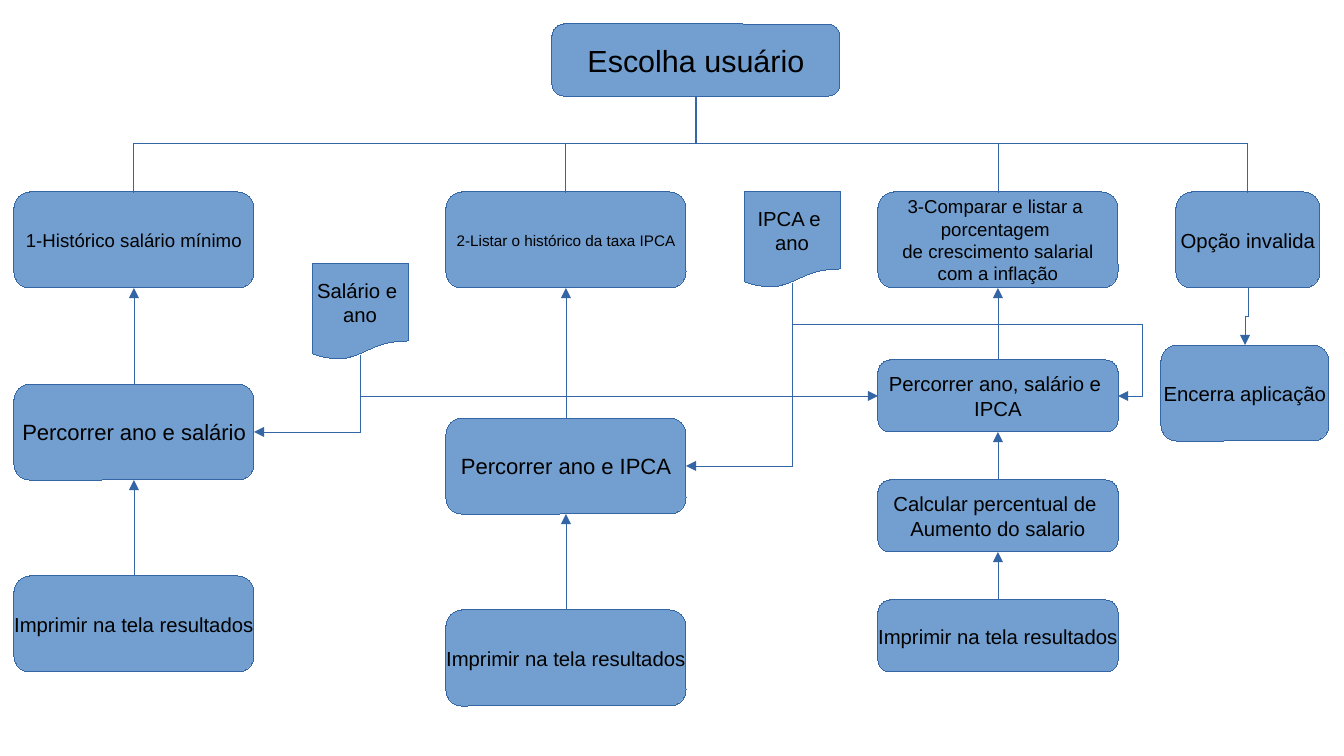
import itertools

import pptx
import pptx.dml.color
import pptx.enum.shapes
import pptx.enum.text
import pptx.oxml.ns
import pptx.util
from lxml import etree

PX = 7495  # EMU per pixel, 122 px to the inch
HAIRLINE = 1  # EMU
BLUE = pptx.dml.color.RGBColor(0x72, 0x9F, 0xCF)
DARK_BLUE = pptx.dml.color.RGBColor(0x34, 0x65, 0xA4)
BLACK = pptx.dml.color.RGBColor(0, 0, 0)
ROUNDED = pptx.enum.shapes.MSO_SHAPE.ROUNDED_RECTANGLE
DOCUMENT = pptx.enum.shapes.MSO_SHAPE.FLOWCHART_DOCUMENT
STRAIGHT = pptx.enum.shapes.MSO_CONNECTOR.STRAIGHT
TOP, LEFT, BOTTOM, RIGHT = range(4)  # connection sites of a box

presentation = pptx.Presentation()
presentation.slide_width = 1344 * PX
presentation.slide_height = 756 * PX
slide = presentation.slides.add_slide(presentation.slide_layouts[6])


def add_box(kind, left, top, width, height, size, text):
    shape = slide.shapes.add_shape(kind, left * PX, top * PX, width * PX, height * PX)
    shape.shadow.inherit = False
    shape.fill.solid()
    shape.fill.fore_color.rgb = BLUE
    shape.line.color.rgb = DARK_BLUE
    shape.line.width = HAIRLINE
    frame = shape.text_frame
    frame.text = text
    frame.word_wrap = False
    frame.vertical_anchor = pptx.enum.text.MSO_ANCHOR.MIDDLE
    for paragraph in frame.paragraphs:
        paragraph.alignment = pptx.enum.text.PP_ALIGN.CENTER
        paragraph.font.name = "Arial"
        paragraph.font.size = pptx.util.Pt(size)
        paragraph.font.color.rgb = BLACK
    return shape


def add_link(source, site, target, target_site, begin, end, bend=None, adjust=(), arrow=True):
    """Join two boxes; a bent link leaves its source vertically."""
    (x1, y1), (x2, y2) = begin, end
    connector = slide.shapes.add_connector(STRAIGHT, 0, 0, 0, 0)
    connector.begin_connect(source, site)
    connector.end_connect(target, target_site)
    connector.line.color.rgb = DARK_BLUE
    connector.line.width = HAIRLINE
    properties = connector._element.spPr
    etree.SubElement(properties, pptx.oxml.ns.qn("a:effectLst"))
    if arrow:
        line = connector.line._get_or_add_ln()
        etree.SubElement(line, pptx.oxml.ns.qn("a:tailEnd"), type="triangle")
    if bend:
        # A quarter turn about the middle swaps width and height
        width, height = abs(y2 - y1), abs(x2 - x1)
        connector.left = round((x1 + x2 - width) / 2 * PX)
        connector.top = round((y1 + y2 - height) / 2 * PX)
        connector.width, connector.height = width * PX, height * PX
        transform = properties.find(pptx.oxml.ns.qn("a:xfrm"))
        for flip in ("flipH", "flipV"):
            transform.attrib.pop(flip, None)
        transform.set("rot", "5400000" if x2 < x1 else "16200000")
        if x2 > x1:
            transform.set("flipH", "1")
        geometry = properties.find(pptx.oxml.ns.qn("a:prstGeom"))
        geometry.set("prst", bend)
        guides = geometry.find(pptx.oxml.ns.qn("a:avLst"))
        for number, value in enumerate(adjust, start=1):
            etree.SubElement(guides, pptx.oxml.ns.qn("a:gd"),
                             name=f"adj{number}", fmla=f"val {value}")


# User's choice
choice = add_box(ROUNDED, 552, 24, 288, 72, 18, "Escolha usuário")

# Option columns: top, height, font size and text of each box
columns = [
    [
        (192, 96, 11, "1-Histórico salário mínimo"),
        (384, 96, 13, "Percorrer ano e salário"),
        (576, 96, 12, "Imprimir na tela resultados"),
    ],
    [
        (192, 96, 9, "2-Listar o histórico da taxa IPCA"),
        (418, 96, 13, "Percorrer ano e IPCA"),
        (610, 96, 12, "Imprimir na tela resultados"),
    ],
    [
        (192, 96, 11, "3-Comparar e listar a \nporcentagem \n"
                      "de crescimento salarial\ncom a inflação"),
        (360, 72, 12, "Percorrer ano, salário e \nIPCA"),
        (480, 72, 12, "Calcular percentual de \nAumento do salario"),
        (600, 72, 12, "Imprimir na tela resultados"),
    ],
]
options, readers = [], []
for index, column in enumerate(columns):
    left = 14 + 432 * index
    center = left + 120
    boxes = [add_box(ROUNDED, left, top, 240, height, size, text)
             for top, height, size, text in column]
    options.append((boxes[0], center))
    readers.append(boxes[1])
    # Upward arrows
    for upper, lower in itertools.pairwise(boxes):
        add_link(lower, TOP, upper, BOTTOM, (center, 0), (center, 0))

# Invalid option
invalid = add_box(ROUNDED, 1176, 192, 144, 96, 12, "Opção invalida")
finish = add_box(ROUNDED, 1161, 345, 168, 96, 12, "Encerra aplicação")
options.append((invalid, 1248))
add_link(invalid, BOTTOM, finish, TOP, (1248, 288), (1245, 345), "bentConnector3", [50000])

# Tree from the choice to the four options
for option, center in options:
    add_link(choice, BOTTOM, option, TOP, (696, 96), (center, 192),
             "bentConnector3", [50000], arrow=False)

# Data documents and the steps that use them
salary = add_box(DOCUMENT, 312, 264, 96, 96, 12, "Salário e \nano")
inflation = add_box(DOCUMENT, 744, 192, 96, 96, 12, "IPCA e \nano")
read_salary, read_inflation, read_both = readers
add_link(salary, BOTTOM, read_salary, RIGHT, (360, 355), (254, 432), "bentConnector2")
add_link(inflation, BOTTOM, read_inflation, RIGHT, (792, 283), (686, 466), "bentConnector2")
add_link(salary, BOTTOM, read_both, LEFT, (360, 355), (878, 396), "bentConnector2")
add_link(inflation, BOTTOM, read_both, RIGHT, (792, 283), (1118, 396),
         "bentConnector4", [36700, 107400])

presentation.save("out.pptx")
